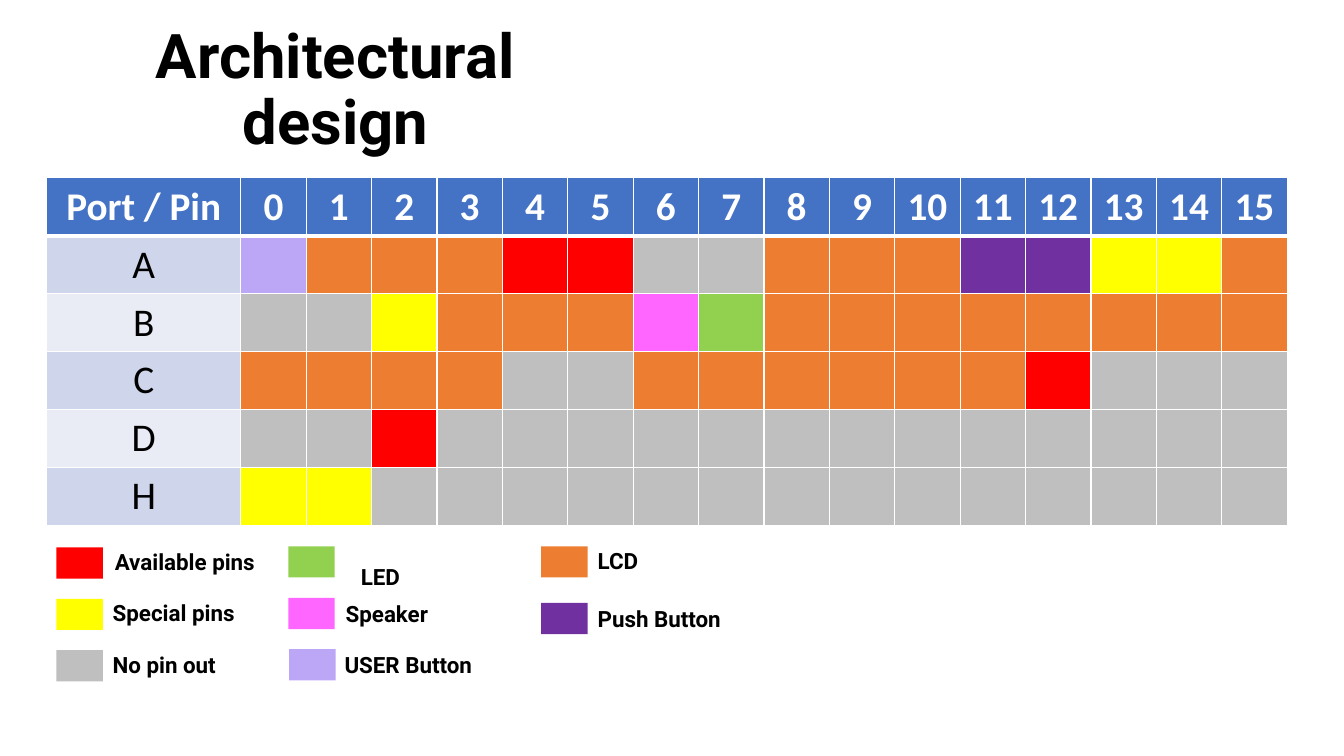
from dataclasses import dataclass

from lxml import etree
from pptx import Presentation
from pptx import util as u
from pptx.dml.color import RGBColor
from pptx.enum import shapes, text
from pptx.oxml.ns import qn


@dataclass(frozen=True)
class PinUse:
    """A use of a pin: its legend swatch and its legend label."""
    label: str
    color: str
    swatch_left: float
    swatch_top: float
    label_left: float
    label_top: float


SWATCH_WIDTH, SWATCH_HEIGHT = 33.2, 22.3
LABEL_WIDTH, LABEL_HEIGHT = 123.1, 26.6

PIN_USES = {
    "A": PinUse("Available pins", "FF0000", 40.3, 391, 74.9, 388.1),
    "S": PinUse("Special pins", "FFFF00", 40.3, 427.7, 73.4, 424.1),
    "N": PinUse("No pin out", "BFBFBF", 40.3, 464.4, 73.4, 461.5),
    "D": PinUse("LED", "92D050", 205.9, 390.2, 250.6, 398.2),
    "K": PinUse("Speaker", "FF66FF", 205.9, 427, 239.8, 424.8),
    "U": PinUse("USER Button", "BCA7F7", 206.6, 463.7, 239, 461.5),
    "L": PinUse("LCD", "ED7D31", 386.6, 390.2, 419.8, 387.4),
    "P": PinUse("Push Button", "7030A0", 386.6, 430.6, 419.8, 428.4),
}

# One letter of PIN_USES for each pin of a port
PORTS = {
    "A": "ULLLAANNLLLPPSSL",
    "B": "NNSLLLKDLLLLLLLL",
    "C": "LLLLNNLLLLLLANNN",
    "D": "NNA" + "N" * 13,
    "H": "SS" + "N" * 14,
}
PIN_COUNT = 16
PORT_WIDTH, PIN_WIDTH, ROW_HEIGHT = 138.6, 46.72, 41.4
HEADER_COLOR = "4472C4"
BAND_COLORS = ("CFD5EA", "E9EBF5")


def rgb(color: str) -> RGBColor:
    return RGBColor.from_string(color)


def write(frame, words: str, size: float, font_name: str, color: str = "000000",
          bold: bool = True, align=text.PP_ALIGN.CENTER, line_spacing=None) -> None:
    paragraph = frame.paragraphs[0]
    paragraph.text = words
    paragraph.alignment = align
    if line_spacing:
        paragraph.line_spacing = line_spacing
    font = paragraph.runs[0].font
    for name, value in {"size": u.Pt(size), "name": font_name, "bold": bold}.items():
        setattr(font, name, value)
    font.color.rgb = rgb(color)


def add_label(slide, left: float, top: float, width: float, height: float, inset: float = 7.2):
    frame = slide.shapes.add_textbox(u.Pt(left), u.Pt(top), u.Pt(width), u.Pt(height)).text_frame
    frame_format = {"word_wrap": True, "vertical_anchor": text.MSO_ANCHOR.MIDDLE,
                    "margin_left": u.Pt(inset), "margin_right": u.Pt(inset)}
    for name, value in frame_format.items():
        setattr(frame, name, value)
    return frame


def style_cell(cell, color: str, bottom_width: float = 1, top_width: float = 1) -> None:
    properties = cell._tc.get_or_add_tcPr()
    widths = {"a:lnL": 1, "a:lnR": 1, "a:lnT": top_width, "a:lnB": bottom_width}
    for side, width in widths.items():
        line = etree.SubElement(properties, qn(side), w=str(u.Pt(width)))
        fill = etree.SubElement(line, qn("a:solidFill"))
        etree.SubElement(fill, qn("a:srgbClr"), val="FFFFFF")
    cell.fill.solid()
    cell.fill.fore_color.rgb = rgb(color)
    cell.vertical_anchor = text.MSO_ANCHOR.MIDDLE


def add_pin_table(slide) -> None:
    row_count = len(PORTS) + 1
    table = slide.shapes.add_table(
        row_count, PIN_COUNT + 1, u.Pt(33.4), u.Pt(127),
        u.Pt(PORT_WIDTH + PIN_COUNT * PIN_WIDTH), u.Pt(row_count * ROW_HEIGHT)).table
    for index, column in enumerate(table.columns):
        column.width = u.Pt(PIN_WIDTH if index else PORT_WIDTH)
    for row in table.rows:
        row.height = u.Pt(ROW_HEIGHT)

    # Header row
    for index, heading in enumerate(["Port / Pin", *map(str, range(PIN_COUNT))]):
        cell = table.cell(0, index)
        style_cell(cell, HEADER_COLOR, bottom_width=3)
        write(cell.text_frame, heading, 28, "Calibri", "FFFFFF")

    # One row for each port
    for row_index, (port, pins) in enumerate(PORTS.items(), start=1):
        top_width = 3 if row_index == 1 else 1
        port_cell = table.cell(row_index, 0)
        style_cell(port_cell, BAND_COLORS[(row_index - 1) % 2], top_width=top_width)
        write(port_cell.text_frame, port, 28, "Calibri", bold=False)
        for pin, use in enumerate(pins, start=1):
            style_cell(table.cell(row_index, pin), PIN_USES[use].color, top_width=top_width)


def add_legend_entry(slide, use: PinUse) -> None:
    swatch = slide.shapes.add_shape(
        shapes.MSO_SHAPE.RECTANGLE, u.Pt(use.swatch_left), u.Pt(use.swatch_top),
        u.Pt(SWATCH_WIDTH), u.Pt(SWATCH_HEIGHT))
    swatch.shadow.inherit = False
    swatch.fill.solid()
    swatch.fill.fore_color.rgb = rgb(use.color)
    swatch.line.fill.background()
    label = add_label(slide, use.label_left, use.label_top, LABEL_WIDTH, LABEL_HEIGHT)
    write(label, use.label, 16, "Roboto", align=text.PP_ALIGN.LEFT)


def main() -> None:
    deck = Presentation()
    deck.slide_width, deck.slide_height = u.Pt(960), u.Pt(540)
    slide = deck.slides.add_slide(deck.slide_layouts[6])

    # Title, inset enough to break after the first word
    title = add_label(slide, 33.8, 13, 411.8, 104.4, inset=20)
    write(title, "Architectural design", 44, "Roboto", line_spacing=0.9)

    # Pin table and its legend
    add_pin_table(slide)
    for use in PIN_USES.values():
        add_legend_entry(slide, use)

    deck.save("out.pptx")


if __name__ == "__main__":
    main()
